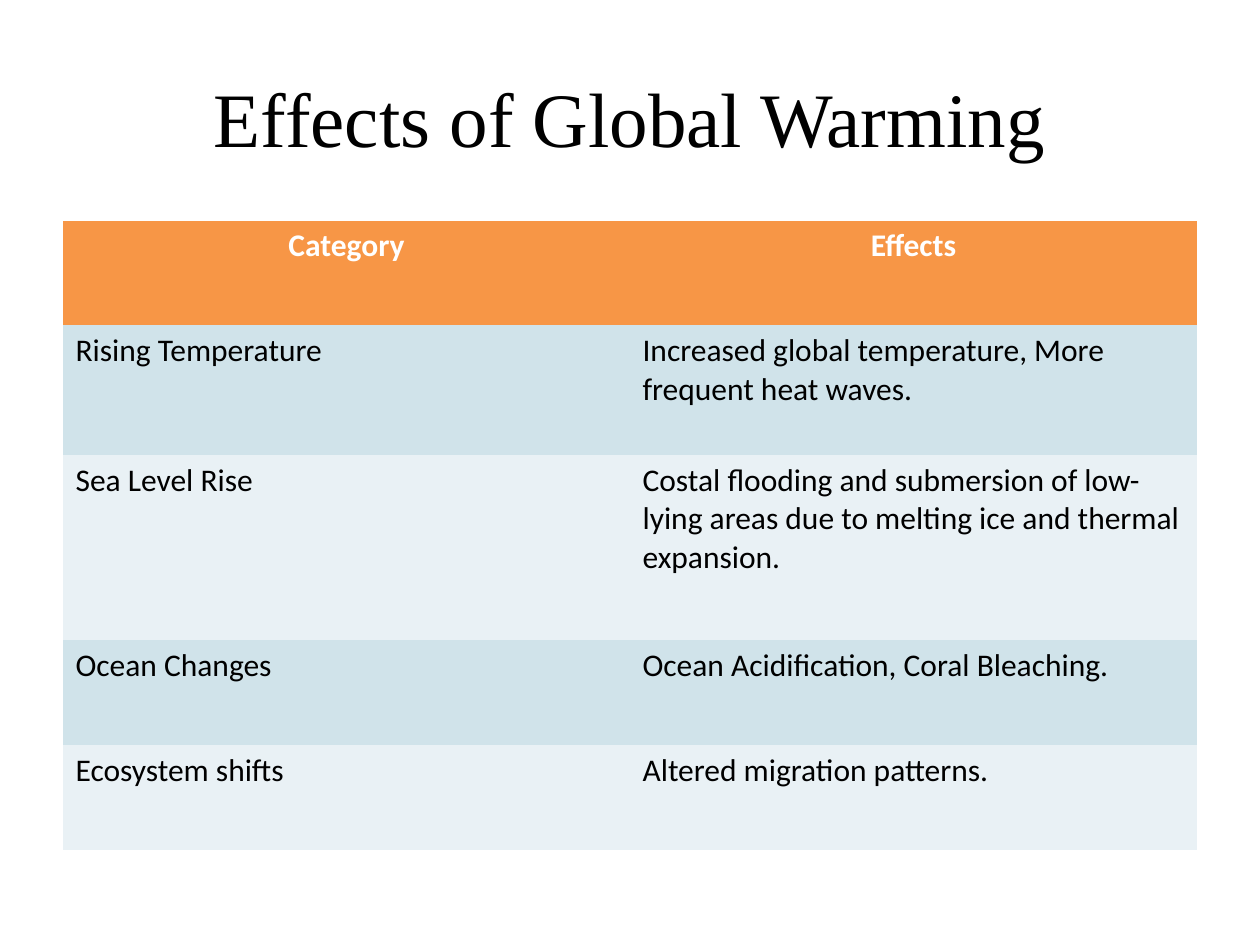
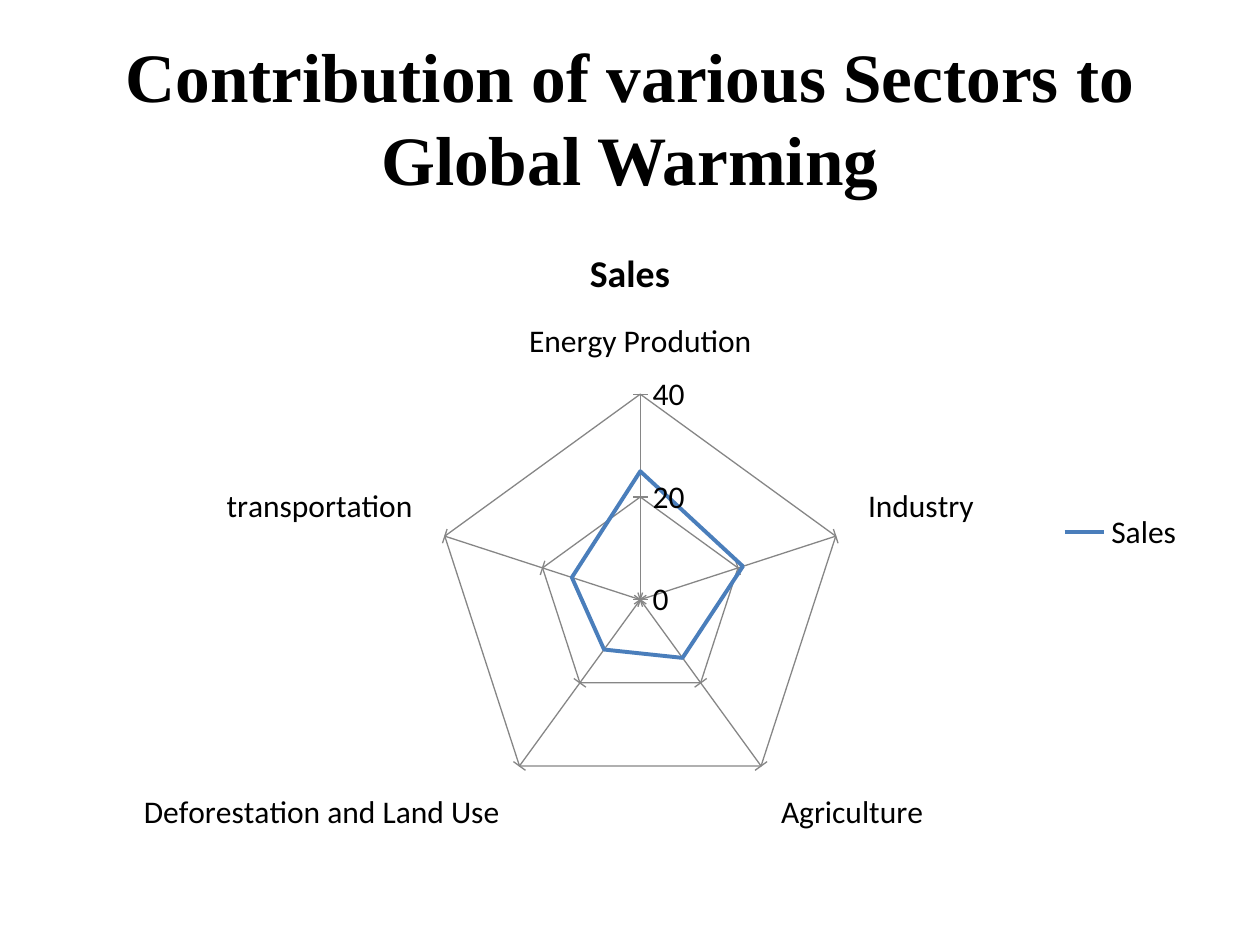
from pptx import Presentation
from pptx.chart.data import CategoryChartData
from pptx.dml.color import RGBColor
from pptx.enum.chart import XL_CHART_TYPE, XL_LEGEND_POSITION, XL_TICK_MARK
from pptx.enum.text import MSO_ANCHOR, PP_ALIGN
from pptx.oxml.ns import qn
from pptx.util import Pt

RADAR = XL_CHART_TYPE.RADAR
RIGHT = XL_LEGEND_POSITION.RIGHT
CROSS = XL_TICK_MARK.CROSS
MIDDLE = MSO_ANCHOR.MIDDLE
CENTER = PP_ALIGN.CENTER
LEFT = PP_ALIGN.LEFT

BLACK, WHITE = "000000", "FFFFFF"
ORANGE, BLUE, GREY = "F79646", "4A7EBB", "868686"
BANDS = ["D0E3EA", "E9F1F5"]
PLAIN = "{2D5ABB26-0587-4C30-8999-92F81FD0307C}"
EDGE, WIDE = 36, 648


def color(code):
    return RGBColor.from_string(code)


def apply(item, values):
    for key, value in values.items():
        setattr(item, key, value)


class Deck:
    head = "Times New Roman"
    body = "Calibri"

    def __init__(self):
        self.show = Presentation()
        apply(self.show, {"slide_width": Pt(720), "slide_height": Pt(540)})

    def page(self, title, size, bold=False):
        self.slide = self.show.slides.add_slide(self.show.slide_layouts[6])
        box = self.slide.shapes.add_textbox(Pt(EDGE), Pt(21.6), Pt(WIDE), Pt(90))
        apply(box.text_frame, {"word_wrap": True, "vertical_anchor": MIDDLE})
        self.text(box.text_frame, title, CENTER, name=self.head, size=Pt(size), bold=bold)

    def text(self, frame, words, align, ink=BLACK, **form):
        line = frame.paragraphs[0]
        line.alignment = align
        run = line.add_run()
        run.text = words
        self.font(run.font, ink, **form)

    def font(self, font, ink=BLACK, **form):
        apply(font, {"name": self.body, "size": Pt(18), "bold": False} | form)
        font.color.rgb = color(ink)

    def line(self, line, ink, width):
        line.color.rgb = color(ink)
        line.width = Pt(width)

    def table(self, rows, heights, top):
        count = len(rows[0])
        frame = self.slide.shapes.add_table(
            len(rows), count, Pt(EDGE), Pt(top), Pt(WIDE), Pt(sum(heights)))
        for style in frame.element.iter(qn("a:tableStyleId")):
            style.text = PLAIN
        grid = frame.table
        for col in grid.columns:
            col.width = Pt(WIDE / count)
        for r, (words, height) in enumerate(zip(rows, heights)):
            grid.rows[r].height = Pt(height)
            first = r == 0
            fill = ORANGE if first else BANDS[(r - 1) % 2]
            for c, word in enumerate(words):
                cell = grid.cell(r, c)
                cell.fill.solid()
                cell.fill.fore_color.rgb = color(fill)
                self.text(cell.text_frame, word, CENTER if first else LEFT,
                          WHITE if first else BLACK, bold=first)

    def radar(self, name, parts, top, height):
        data = CategoryChartData()
        data.categories = list(parts)
        data.add_series(name, list(parts.values()))
        chart = self.slide.shapes.add_chart(
            RADAR, Pt(EDGE), Pt(top), Pt(WIDE), Pt(height), data).chart
        self.font(chart.font)
        apply(chart, {"has_title": True, "has_legend": True})
        self.text(chart.chart_title.text_frame, name, CENTER, size=Pt(21.6), bold=True)
        apply(chart.legend, {"position": RIGHT, "include_in_layout": False})
        for axis in (chart.category_axis, chart.value_axis):
            apply(axis, {"has_major_gridlines": True, "major_tick_mark": CROSS})
            self.line(axis.major_gridlines.format.line, GREY, 0.75)
            self.line(axis.format.line, GREY, 0.75)
        apply(chart.value_axis, {"minimum_scale": 0, "maximum_scale": 40, "major_unit": 20})
        plot = chart.plots[0]
        plot.vary_by_categories = False
        series = plot.series[0]
        series.smooth = False
        self.line(series.format.line, BLUE, 2.25)


def main():
    deck = Deck()
    deck.page("Effects of Global Warming", 44)
    deck.table([
        ("Category", "Effects"),
        ("Rising Temperature", "Increased global temperature, More frequent heat waves."),
        ("Sea Level Rise", "Costal flooding and submersion of low-lying areas "
                           "due to melting ice and thermal expansion."),
        ("Ocean Changes", "Ocean Acidification, Coral Bleaching."),
        ("Ecosystem shifts", "Altered migration patterns."),
    ], [60, 74, 106, 60, 60], 126)

    deck.page("Contribution of various Sectors to Global Warming", 39.6, True)
    deck.radar("Sales", {
        "Energy Prodution": 25,
        "Industry": 21,
        "Agriculture": 14,
        "Deforestation and Land Use": 12,
        "transportation": 14,
    }, 126, 356.4)
    deck.show.save("out.pptx")


if __name__ == "__main__":
    main()
